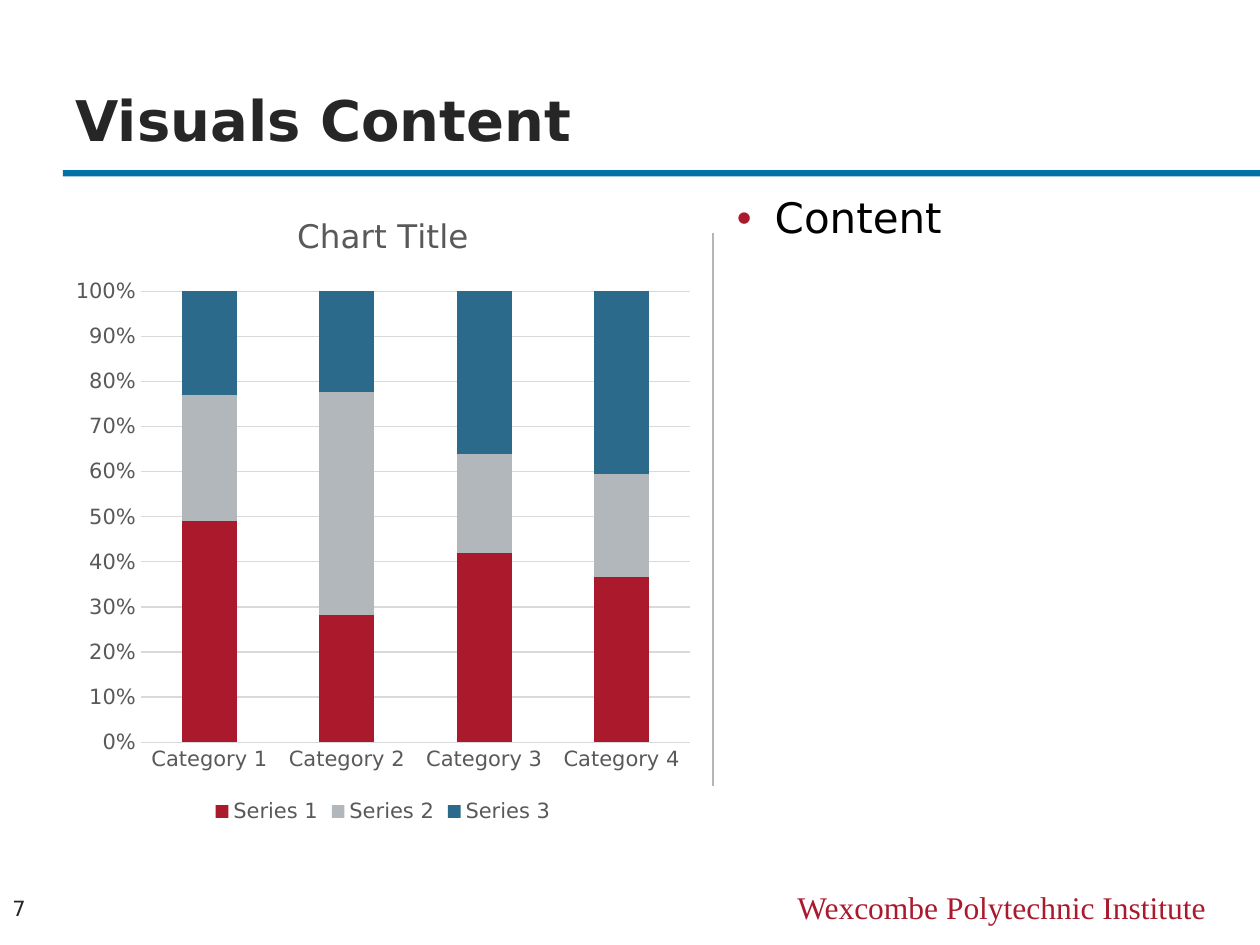
from lxml import etree
from pptx import Presentation
from pptx.chart.data import CategoryChartData
from pptx.dml.color import RGBColor
from pptx.enum.chart import XL_CHART_TYPE as ChartType, XL_LEGEND_POSITION as LegendPosition
from pptx.enum.chart import XL_TICK_MARK as TickMark
from pptx.enum.shapes import MSO_CONNECTOR as Connector, MSO_SHAPE as Shape
from pptx.enum.text import MSO_ANCHOR as Anchor, PP_ALIGN as Align
from pptx.oxml.ns import qn
from pptx.util import Pt

PX = 9144  # 100 px to the inch
SANS, SERIF = "DejaVu Sans", "Times New Roman"
RED = RGBColor(0xAB, 0x19, 0x2D)
SILVER = RGBColor(0xB2, 0xB7, 0xBB)
STEEL = RGBColor(0x2C, 0x6A, 0x8C)
BLUE = RGBColor(0x00, 0x71, 0xA9)
DIVIDER = RGBColor(0xB6, 0xB6, 0xB6)
GRID = RGBColor(0xD9, 0xD9, 0xD9)
LABEL = RGBColor(0x59, 0x59, 0x59)
DARK = RGBColor(0x26, 0x26, 0x26)
BLACK = RGBColor(0, 0, 0)


def box(*lengths):
    return [length * PX for length in lengths]


def set_font(font, size, color, name=SANS, bold=False):
    font.size, font.name, font.bold = Pt(size), name, bold
    font.color.rgb = color


presentation = Presentation()
presentation.slide_width, presentation.slide_height = box(1000, 750)
slide = presentation.slides.add_slide(presentation.slide_layouts[5])
shapes = slide.shapes

# Title and the rule under it
title = shapes.title
title.left, title.top, title.width, title.height = box(50, 38, 900, 88)
title.text_frame.text = "Visuals Content"
title.text_frame.vertical_anchor = Anchor.BOTTOM
paragraph = title.text_frame.paragraphs[0]
paragraph.alignment = Align.LEFT
set_font(paragraph.font, 32, DARK, bold=True)

rule = shapes.add_shape(Shape.RECTANGLE, *box(50, 135, 950, 5))
rule.shadow.inherit = False
rule.fill.solid()
rule.fill.fore_color.rgb = BLUE
rule.line.fill.background()

# Divider between chart and content
divider = shapes.add_connector(Connector.STRAIGHT, *box(566, 185, 566, 624))
divider.line.color.rgb = DIVIDER
divider.line.width = Pt(1.25)
etree.SubElement(divider.element.spPr, qn("a:effectLst"))

# Text: content, footer and slide number
paragraphs = []
for text, place, anchor, alignment, size, color, name in [
    ("Content", (575, 150, 375, 508), Anchor.TOP, Align.LEFT, 24, BLACK, SANS),
    ("Wexcombe Polytechnic Institute", (600, 700, 367, 40), Anchor.TOP, Align.RIGHT, 18, RED, SERIF),
    ("7", (0, 699, 50, 43), Anchor.MIDDLE, Align.LEFT, 12, DARK, SANS),
]:
    frame = shapes.add_textbox(*box(*place)).text_frame
    frame.word_wrap = True
    frame.vertical_anchor = anchor
    frame.text = text
    paragraph = frame.paragraphs[0]
    paragraph.alignment = alignment
    set_font(paragraph.font, size, color, name)
    paragraphs.append(paragraph)

# Bullet on the content
bullet = paragraphs[0]
bullet.line_spacing = 0.95
bullet.space_before = Pt(12)
properties = bullet._p.get_or_add_pPr()
properties.set("marL", str(30 * PX))
properties.set("indent", str(-30 * PX))
bullet_color = etree.Element(qn("a:buClr"))
etree.SubElement(bullet_color, qn("a:srgbClr"), val=str(RED))
bullet_font = etree.Element(qn("a:buFont"), typeface="Arial")
bullet_character = etree.Element(qn("a:buChar"), char="•")
default_run = properties.find(qn("a:defRPr"))
for element in (bullet_color, bullet_font, bullet_character):
    default_run.addprevious(element)

# Stacked chart
series_rows = [
    ("Series 1", (49, 28, 42, 37), RED),
    ("Series 2", (28, 49, 22, 23), SILVER),
    ("Series 3", (23, 22, 36, 41), STEEL),
]
data = CategoryChartData()
data.categories = [f"Category {number}" for number in range(1, 5)]
for name, values, _ in series_rows:
    data.add_series(name, values)
chart = shapes.add_chart(ChartType.COLUMN_STACKED_100, *box(50, 150, 508, 508), data).chart
set_font(chart.font, 10, BLACK)

chart.has_title = True
chart.chart_title.text_frame.text = "Chart Title"
set_font(chart.chart_title.text_frame.paragraphs[0].font, 18.6, LABEL)
chart.chart_title.include_in_layout = False

chart.has_legend = True
chart.legend.position = LegendPosition.BOTTOM
chart.legend.include_in_layout = False
set_font(chart.legend.font, 12, LABEL)

plot = chart.plots[0]
plot.gap_width, plot.overlap = 150, 100
plot.vary_by_categories = False
for series, (_, _, color) in zip(plot.series, series_rows):
    series.format.fill.solid()
    series.format.fill.fore_color.rgb = color

for axis in (chart.category_axis, chart.value_axis):
    axis.major_tick_mark = axis.minor_tick_mark = TickMark.NONE
    set_font(axis.tick_labels.font, 12, LABEL)
chart.value_axis.format.line.fill.background()
chart.value_axis.tick_labels.number_format = "0%"
chart.value_axis.tick_labels.number_format_is_linked = False
for line in (chart.category_axis.format.line, chart.value_axis.major_gridlines.format.line):
    line.color.rgb = GRID
    line.width = Pt(0.75)

presentation.save("out.pptx")
